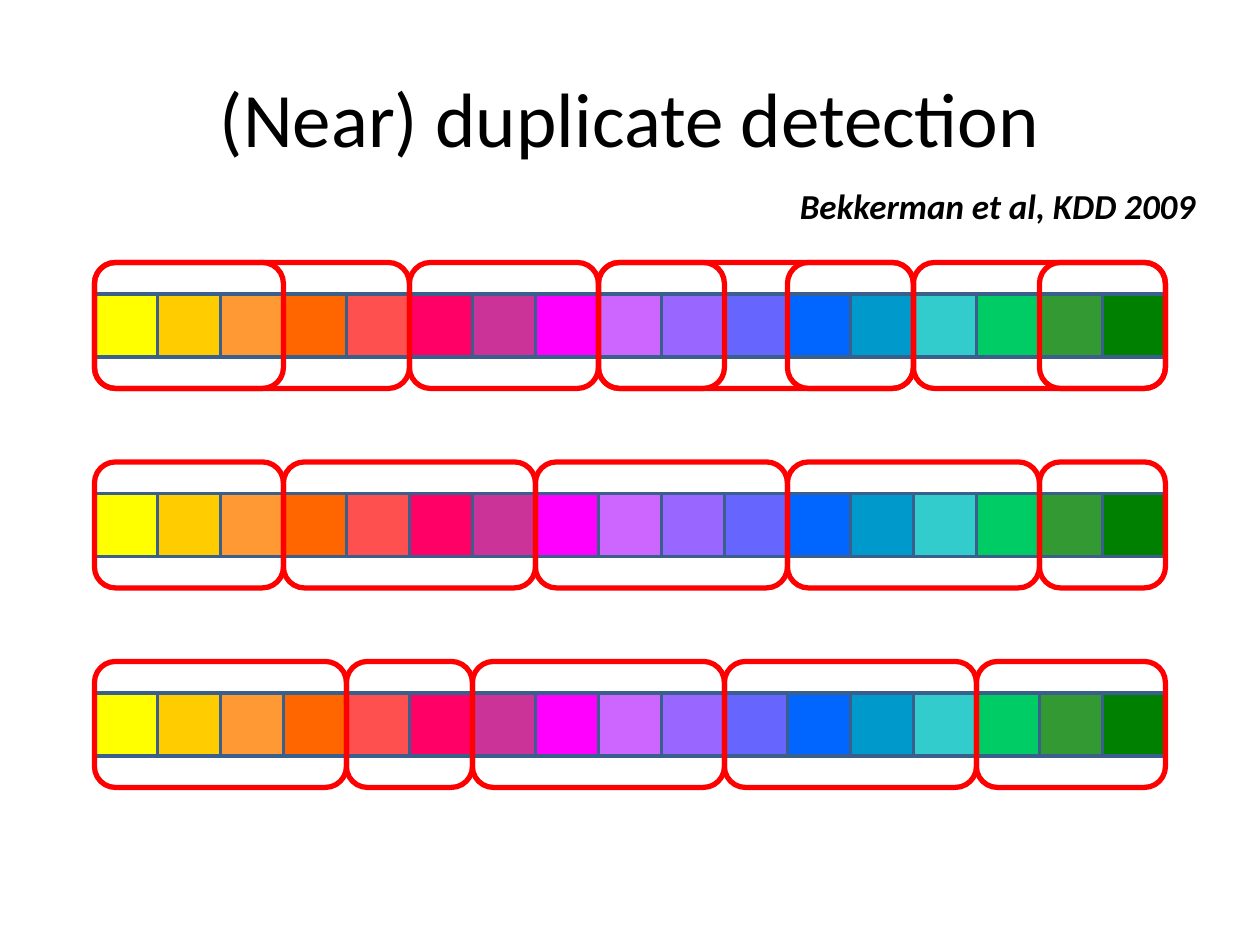
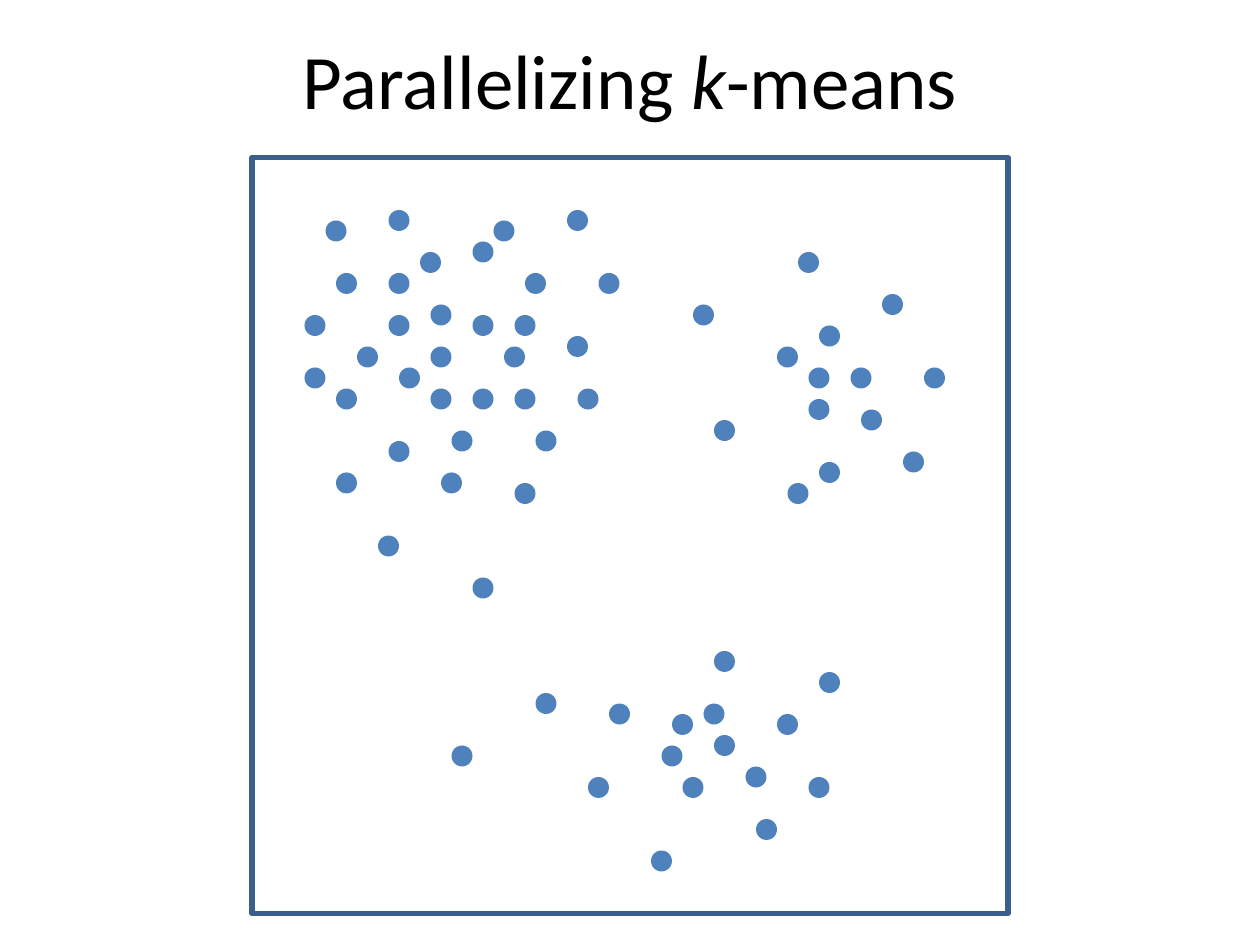
from dataclasses import dataclass
from itertools import accumulate

from pptx import Presentation
from pptx.dml.color import RGBColor
from pptx.enum.shapes import MSO_SHAPE
from pptx.enum.text import MSO_ANCHOR, MSO_AUTO_SIZE, PP_ALIGN
from pptx.presentation import Presentation as Deck
from pptx.shapes.autoshape import Shape
from pptx.slide import Slide
from pptx.text.text import Font
from pptx.util import Pt


@dataclass(frozen=True)
class Theme:
    face: str = "Calibri"
    ink: str = "000000"
    edge: str = "3A5F8C"
    mark: str = "FF0000"
    dot: str = "4F81BD"
    title: int = 44
    cite: int = 20
    thin: int = 2
    thick: int = 3


@dataclass(frozen=True)
class Box:
    left: float
    top: float
    width: float
    height: float

    def place(self) -> tuple[Pt, Pt, Pt, Pt]:
        return Pt(self.left), Pt(self.top), Pt(self.width), Pt(self.height)


@dataclass(frozen=True)
class Span:
    """A run of cells: the first cell and how many follow."""
    start: int
    count: int


@dataclass(frozen=True)
class Strip:
    top: float
    spans: list[Span]


THEME = Theme()

# Colour strips: square cells in a row, framed in spans
CELL = 36
LEFT = 54
PAD = 18
HUES = ["FFFF00", "FFCC00", "FF9933", "FF6600", "FF5050", "FF0066",
        "CC3399", "FF00FF", "CC66FF", "9966FF", "6666FF", "0066FF",
        "0099CC", "33CCCC", "00CC66", "339933", "008000"]


def chain(*counts: int) -> list[Span]:
    """Spans that follow each other without gaps."""
    starts = accumulate(counts, initial=0)
    return [Span(start, count) for start, count in zip(starts, counts)]


INNER = [Span(0, 3), Span(8, 2), Span(11, 2), Span(15, 2)]
SETS = [chain(5, 3, 5, 4) + INNER, chain(3, 4, 4, 4, 2), chain(4, 2, 4, 4, 3)]
STRIPS = [Strip(168 + 114 * row, spans) for row, spans in enumerate(SETS)]

# Scatter dots on a 6 pt grid: row -> columns
GRID = 6
DOTS = {
    20: [37, 54], 21: [31, 47], 23: [45], 24: [40, 76],
    26: [32, 37, 50, 57], 28: [84], 29: [41, 66], 30: [29, 37, 45, 49],
    31: [78], 32: [54], 33: [34, 41, 48, 74], 35: [29, 38, 77, 81, 88],
    37: [32, 41, 45, 49, 55], 38: [77], 39: [82], 40: [68], 41: [43, 51],
    42: [37], 43: [86], 44: [78], 45: [32, 42], 46: [49, 75],
    51: [36], 55: [45], 62: [68], 64: [78], 66: [51], 67: [58, 67],
    68: [64, 74], 70: [68], 71: [43, 63], 73: [71], 74: [56, 65, 77],
    78: [72], 81: [62],
}


def style(font: Font, size: int) -> None:
    font.name = THEME.face
    font.size = Pt(size)
    font.color.rgb = RGBColor.from_string(THEME.ink)


def draw(slide: Slide, kind: MSO_SHAPE, box: Box, fill: str | None = None,
         line: str | None = None, weight: int = THEME.thick) -> Shape:
    shape = slide.shapes.add_shape(kind, *box.place())
    shape.shadow.inherit = False
    if fill:
        shape.fill.solid()
        shape.fill.fore_color.rgb = RGBColor.from_string(fill)
    else:
        shape.fill.background()
    if line:
        shape.line.color.rgb = RGBColor.from_string(line)
        shape.line.width = Pt(weight)
    else:
        shape.line.fill.background()
    return shape


def start(deck: Deck, top: float, parts: list[tuple[str, bool]]) -> Slide:
    """Add a titled slide; each title part is its text and its slant."""
    slide = deck.slides.add_slide(deck.slide_layouts[5])
    title = slide.shapes.title
    box = Box(36, top, 648, 90)
    title.left, title.top, title.width, title.height = box.place()
    title.text_frame.vertical_anchor = MSO_ANCHOR.MIDDLE
    para = title.text_frame.paragraphs[0]
    para.alignment = PP_ALIGN.CENTER
    for text, slant in parts:
        run = para.add_run()
        run.text = text
        style(run.font, THEME.title)
        run.font.italic = slant
    return slide


def cite(slide: Slide, box: Box, text: str) -> None:
    frame = slide.shapes.add_textbox(*box.place()).text_frame
    frame.word_wrap = True
    frame.auto_size = MSO_AUTO_SIZE.SHAPE_TO_FIT_TEXT
    frame.text = text
    font = frame.paragraphs[0].runs[0].font
    style(font, THEME.cite)
    font.bold = font.italic = True


def band(slide: Slide, strip: Strip) -> None:
    for col, hue in enumerate(HUES):
        box = Box(LEFT + col * CELL, strip.top, CELL, CELL)
        draw(slide, MSO_SHAPE.RECTANGLE, box, hue, THEME.edge, THEME.thin)
    for span in strip.spans:
        box = Box(LEFT + span.start * CELL, strip.top - PAD,
                  span.count * CELL, CELL + 2 * PAD)
        draw(slide, MSO_SHAPE.ROUNDED_RECTANGLE, box, line=THEME.mark)


def main() -> None:
    deck = Presentation()
    deck.slide_width, deck.slide_height = Pt(720), Pt(540)

    # Duplicate detection
    slide = start(deck, 21.6, [("(Near) duplicate detection", False)])
    for strip in STRIPS:
        band(slide, strip)
    cite(slide, Box(450, 102, 252, 31.5), "Bekkerman et al, KDD 2009")

    # Scatter of points for k-means
    slide = start(deck, 0, [("Parallelizing ", False), ("k", True),
                            ("-means", False)])
    draw(slide, MSO_SHAPE.RECTANGLE, Box(144, 90, 432, 432), line=THEME.edge)
    for row, cols in DOTS.items():
        for col in cols:
            box = Box(col * GRID, row * GRID, 2 * GRID, 2 * GRID)
            draw(slide, MSO_SHAPE.OVAL, box, THEME.dot)

    deck.save("out.pptx")


if __name__ == "__main__":
    main()
